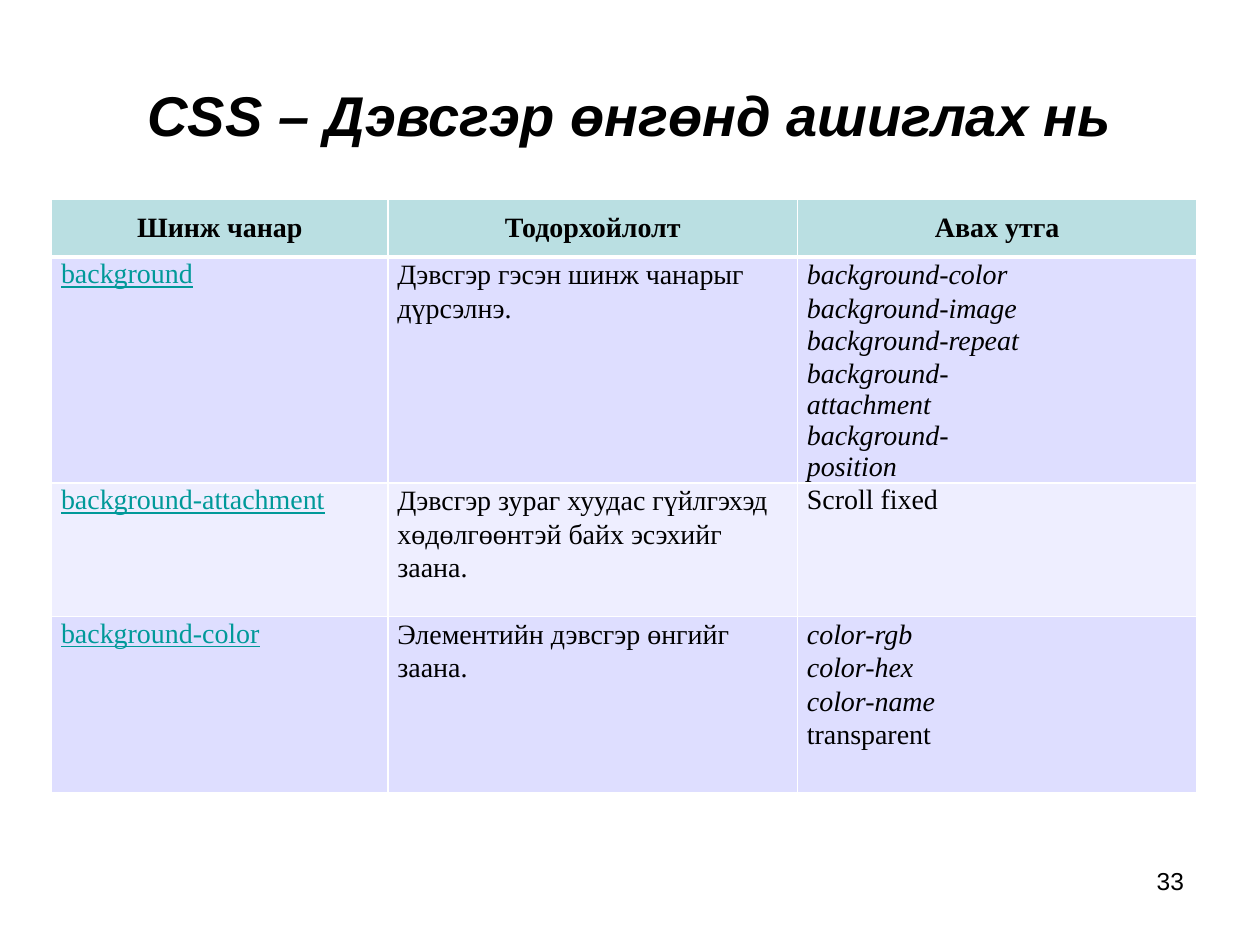
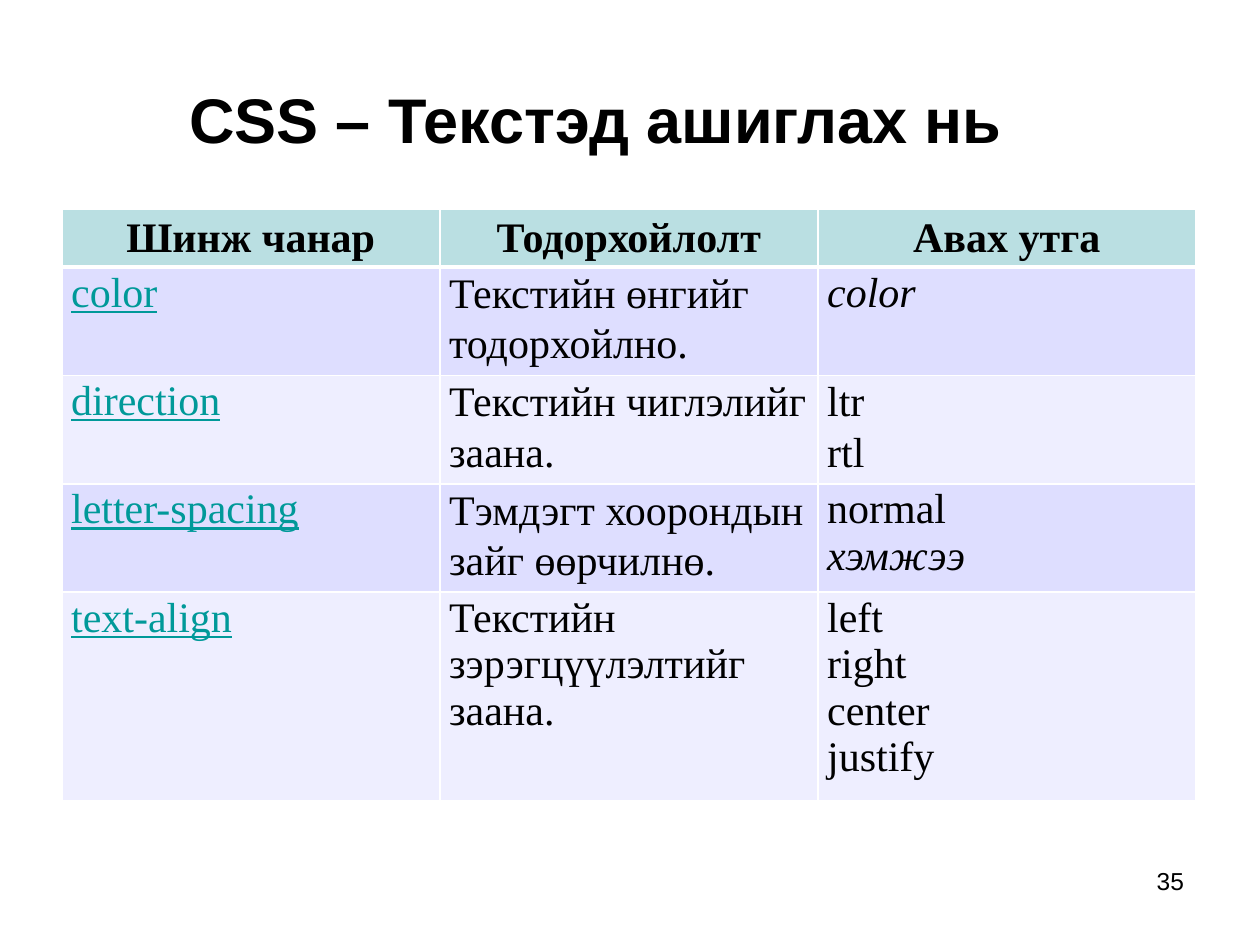
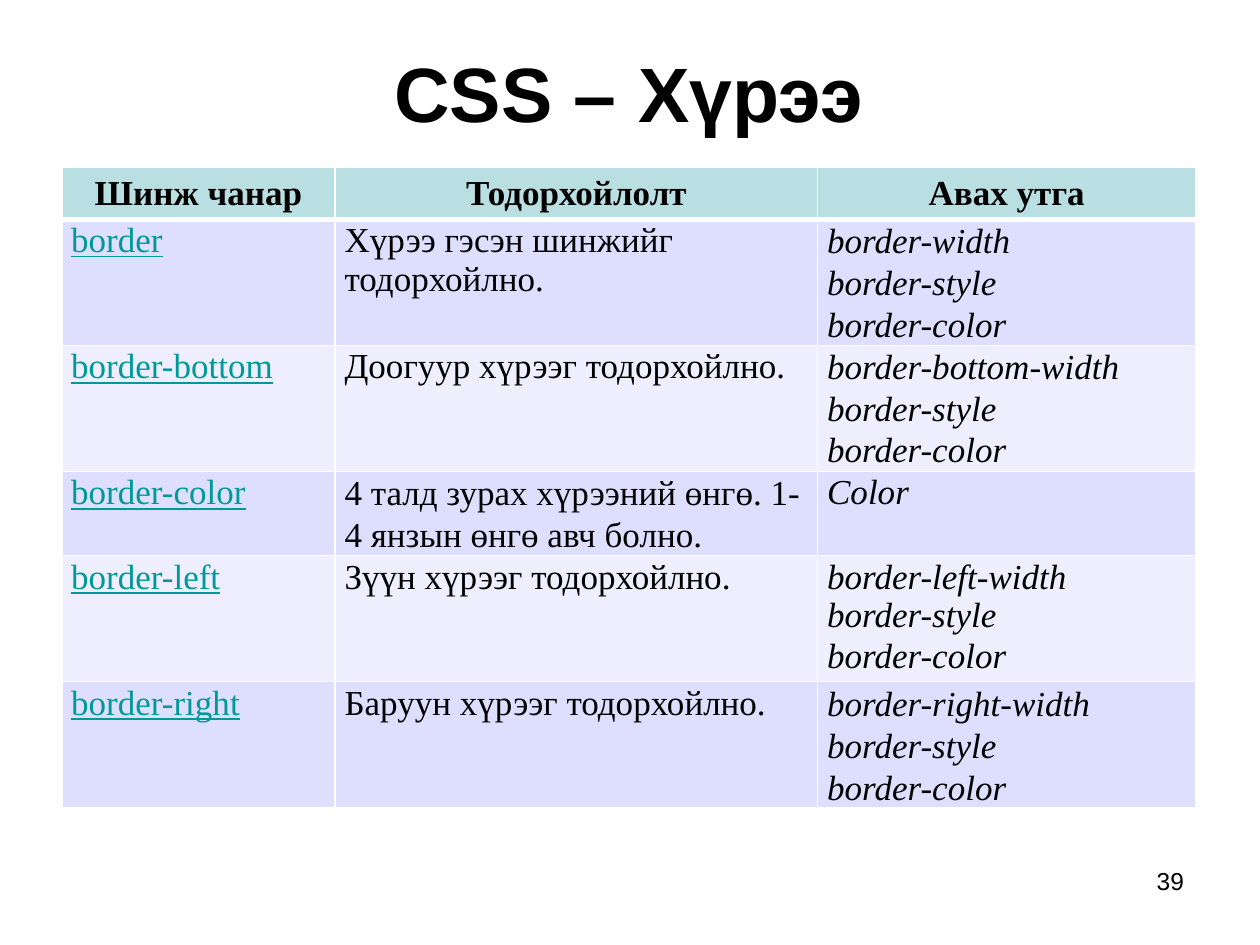
from dataclasses import dataclass

from lxml import etree
from pptx import Presentation
from pptx.dml.color import RGBColor
from pptx.enum.text import MSO_ANCHOR, MSO_AUTO_SIZE, PP_ALIGN
from pptx.oxml.ns import qn
from pptx.util import Inches, Pt

TOP, MIDDLE = MSO_ANCHOR.TOP, MSO_ANCHOR.MIDDLE
LEFT, CENTER = PP_ALIGN.LEFT, PP_ALIGN.CENTER
NO_FIT = MSO_AUTO_SIZE.NONE

BLACK = RGBColor(0x00, 0x00, 0x00)
WHITE = RGBColor(0xFF, 0xFF, 0xFF)
TEAL = RGBColor(0x00, 0x99, 0x99)
HEADER_FILL = RGBColor(0xBA, 0xDF, 0xE2)
BAND_FILLS = RGBColor(0xDE, 0xDE, 0xFF), RGBColor(0xEE, 0xEE, 0xFF)

HEADING_FONT, TABLE_FONT = "Arial", "Times New Roman"
GRID_COLS, GRID_ROWS = 100, 75
LOOSE, TIGHT = 1.2, 1.17
THIN, THICK = 1, 3
HEADERS = "Шинж чанар", "Тодорхойлолт", "Авах утга"


@dataclass
class Para:
    text: str
    leading: float | None = LOOSE
    italic: bool = False
    link: bool = False
    bold: bool = False
    align: PP_ALIGN = LEFT


def tight(text, italic=False):
    return Para(text, TIGHT, italic)


def single(text, italic=False):
    return Para(text, None, italic)


def italic(text):
    return Para(text, italic=True)


class Deck:
    def __init__(self):
        self.prs = Presentation()
        self.prs.slide_width, self.prs.slide_height = Inches(10), Inches(7.5)
        self.s = None

    def x(self, cols):
        return round(self.prs.slide_width * cols / GRID_COLS)

    def y(self, rows):
        return round(self.prs.slide_height * rows / GRID_ROWS)

    def place(self, shape, box):
        shape.left, shape.top = self.x(box[0]), self.y(box[1])
        shape.width, shape.height = self.x(box[2]), self.y(box[3])

    def frame(self, tf, left=0, top=0):
        tf.margin_left, tf.margin_top = self.x(left), self.y(top)
        tf.margin_right = tf.margin_bottom = 0
        tf.vertical_anchor, tf.auto_size, tf.word_wrap = TOP, NO_FIT, True

    def style(self, font, name, size, color=BLACK, bold=False, slant=False):
        font.name, font.size, font.bold, font.italic = name, Pt(size), bold, slant
        font.color.rgb = color

    def slide(self, number):
        self.s = self.prs.slides.add_slide(self.prs.slide_layouts[5])
        tf = self.s.shapes.add_textbox(
            self.x(91.4), self.y(68.8), self.x(3.1), self.y(2.5)).text_frame
        self.frame(tf, left=0.4)
        p = tf.paragraphs[0]
        p.line_spacing = Pt(16.5)
        r = p.add_run()
        r.text = str(number)
        self.style(r.font, HEADING_FONT, 14)

    def title(self, text, size, box, left, top, slant=False):
        title = self.s.shapes.title
        self.place(title, box)
        self.frame(title.text_frame, left, top)
        p = title.text_frame.paragraphs[0]
        p.alignment = LEFT
        r = p.add_run()
        r.text = text
        self.style(r.font, HEADING_FONT, size, bold=True, slant=slant)

    def borders(self, cell, top, bottom):
        tc_pr = cell._tc.get_or_add_tcPr()
        for side, width in zip("LRTB", (THIN, THIN, top, bottom)):
            ln = etree.SubElement(tc_pr, qn(f"a:ln{side}"), w=str(Pt(width)))
            fill = etree.SubElement(ln, qn("a:solidFill"))
            etree.SubElement(fill, qn("a:srgbClr"), val=str(WHITE))

    def cell(self, cell, paras, size, row):
        header = row == 0
        self.borders(cell, THICK if row == 1 else THIN, THICK if header else THIN)
        cell.fill.solid()
        cell.fill.fore_color.rgb = HEADER_FILL if header else BAND_FILLS[(row - 1) % 2]
        cell.margin_left = 0 if header else self.x(0.75)
        cell.margin_right = cell.margin_top = cell.margin_bottom = 0
        cell.vertical_anchor = MIDDLE if header else TOP
        tf = cell.text_frame
        for i, para in enumerate(paras):
            p = tf.add_paragraph() if i else tf.paragraphs[0]
            p.alignment = para.align
            if para.leading:
                p.line_spacing = Pt(round(size * para.leading, 1))
            for j, line in enumerate(para.text.split("\n")):
                if j:
                    p.add_line_break()
                r = p.add_run()
                r.text = line
                self.style(r.font, TABLE_FONT, size, TEAL if para.link else BLACK,
                           para.bold, para.italic)
                r.font.underline = para.link

    def table(self, left, top, widths, heights, size, entries):
        table = self.s.shapes.add_table(
            len(heights), len(widths), self.x(left), self.y(top),
            self.x(sum(widths)), self.y(sum(heights))).table
        table.horz_banding = False
        for column, width in zip(table.columns, widths):
            column.width = self.x(width)
        for row, height in zip(table.rows, heights):
            row.height = self.y(height)
        rows = [[[Para(h, None, bold=True, align=CENTER)] for h in HEADERS]]
        rows += [[[Para(name, TIGHT, link=True)], about, values]
                 for name, about, values in entries]
        for i, row in enumerate(rows):
            for j, paras in enumerate(row):
                self.cell(table.cell(i, j), paras, size, i)


def background_slide(deck):
    deck.slide(33)
    deck.title("CSS – Дэвсгэр өнгөнд ашиглах нь", 32, (11.1, -0.6, 77.7, 15),
               0.6, 7, slant=True)
    deck.table(4.1, 15.8, (26.7, 32.5, 31.7), (4.6, 17.3, 10.6, 14), 16, [
        ("background",
         [Para("Дэвсгэр гэсэн шинж чанарыг\nдүрсэлнэ.")],
         [italic("background-color\nbackground-image"),
          tight("background-repeat\nbackground-", True),
          single("attachment\nbackground-\nposition", True)]),
        ("background-attachment",
         [Para("Дэвсгэр зураг хуудас гүйлгэхэд\nхөдөлгөөнтэй байх эсэхийг\nзаана.")],
         [tight("Scroll fixed")]),
        ("background-color",
         [Para("Элементийн дэвсгэр өнгийг\nзаана.")],
         [italic("color-rgb\ncolor-hex\ncolor-name"), Para("transparent")]),
    ])


def text_slide(deck):
    deck.slide(35)
    deck.title("CSS – Текстэд ашиглах нь", 36, (11.1, -0.6, 77.7, 15), 3.9, 7)
    deck.table(4.9, 16.6, (30,) * 3, (4.6, 8.6, 8.6, 8.6, 16.6), 24, [
        ("color", [Para("Текстийн өнгийг\nтодорхойлно.")], [tight("color", True)]),
        ("direction", [Para("Текстийн чиглэлийг\nзаана.")], [Para("ltr\nrtl")]),
        ("letter-spacing",
         [Para("Тэмдэгт хоорондын\nзайг өөрчилнө.")],
         [tight("normal"), single("хэмжээ", True)]),
        ("text-align",
         [tight("Текстийн"), single("зэрэгцүүлэлтийг\nзаана.")],
         [tight("left"), single("right\ncenter\njustify")]),
    ])


def border_slide(deck):
    deck.slide(39)
    deck.title("CSS – Хүрээ", 44, (31.2, 3.5, 37.6, 7.6), 0.1, 0.1)
    deck.table(4.9, 13.3, (21.7, 38.3, 30), (4.1, 10, 10, 6.7, 10, 10), 20, [
        ("border",
         [tight("Хүрээ гэсэн шинжийг"), single("тодорхойлно.")],
         [italic("border-width\nborder-style\nborder-color")]),
        ("border-bottom",
         [tight("Доогуур хүрээг тодорхойлно.")],
         [italic("border-bottom-width\nborder-style"), tight("border-color", True)]),
        ("border-color",
         [Para("4 талд зурах хүрээний өнгө. 1-\n4 янзын өнгө авч болно.")],
         [tight("Color", True)]),
        ("border-left",
         [tight("Зүүн хүрээг тодорхойлно.")],
         [tight("border-left-width", True), single("border-style", True),
          tight("border-color", True)]),
        ("border-right",
         [tight("Баруун хүрээг тодорхойлно.")],
         [italic("border-right-width\nborder-style\nborder-color")]),
    ])


def main():
    deck = Deck()
    background_slide(deck)
    text_slide(deck)
    border_slide(deck)
    deck.prs.save("out.pptx")


if __name__ == "__main__":
    main()
